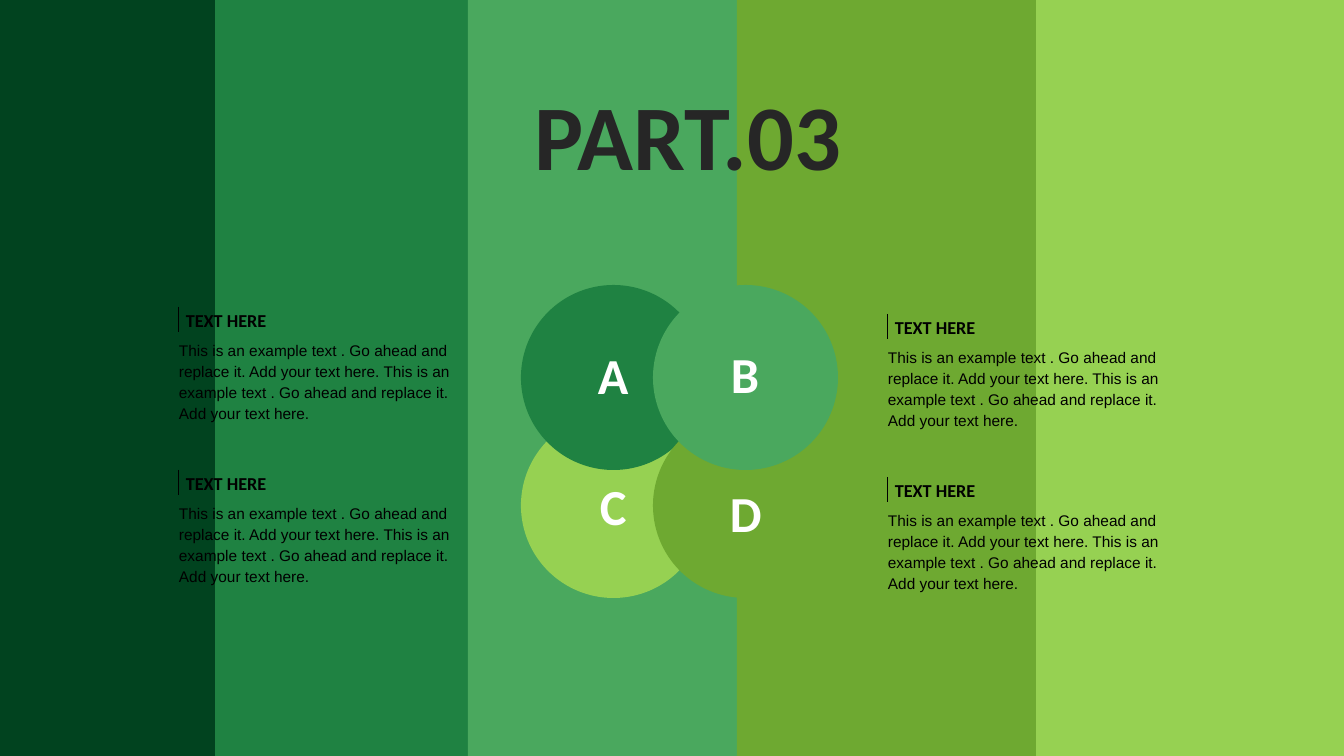
from pptx import Presentation
from pptx import util as u
from pptx.dml.color import RGBColor
from pptx.enum import shapes, text
from pptx.oxml.ns import qn

PX = 914400 / 100.8

THEME = {
    "forest": "01431F", "green": "1F8242", "mint": "4AA85E",
    "olive": "6EA931", "lime": "96D152",
    "title": "262626", "ink": "000000", "white": "FFFFFF",
    "heading_font": "Calibri", "body_font": "Arial",
    "title_size": 66, "letter_size": 36, "heading_size": 13, "body_size": 11,
}


def px(*lengths):
    return [u.Emu(round(length * PX)) for length in lengths]


def write_text(shape, words, size, color, font="heading_font", bold=True,
               wrap=True, align=text.PP_ALIGN.LEFT, spacing=None):
    frame = shape.text_frame
    frame.word_wrap = wrap
    frame.auto_size = text.MSO_AUTO_SIZE.NONE
    frame.vertical_anchor = text.MSO_ANCHOR.TOP
    paragraph = frame.paragraphs[0]
    paragraph.alignment = align
    paragraph.space_before = u.Pt(0)
    if spacing:
        paragraph.line_spacing = spacing
    run = paragraph.add_run()
    run.text = words
    run.font.name = THEME[font]
    run.font.size = u.Pt(THEME[size])
    run.font.bold = bold
    run.font.color.rgb = RGBColor.from_string(THEME[color])


presentation = Presentation()
presentation.slide_width, presentation.slide_height = px(1344, 756)
slide = presentation.slides.add_slide(presentation.slide_layouts[5])

# Background stripes
stripe_edges = [0, 215, 468, 737, 1036, 1344]
stripe_colors = ["forest", "green", "mint", "olive", "lime"]
for left, right, color in zip(stripe_edges, stripe_edges[1:], stripe_colors):
    stripe = slide.shapes.add_shape(shapes.MSO_SHAPE.RECTANGLE,
                                    *px(left, 0, right - left, 756))
    stripe.shadow.inherit = False
    stripe.fill.solid()
    stripe.fill.fore_color.rgb = RGBColor.from_string(THEME[color])
    stripe.line.fill.background()

# Title, raised above the stripes
title = slide.shapes.title
title.left, title.top, title.width, title.height = px(457, 18, 462, 179)
write_text(title, "PART.03", "title_size", "title",
           align=text.PP_ALIGN.CENTER, spacing=1.5)
stripe.element.addnext(title.element)

# Overlapping circles with letters, from back to front
circles = [
    ("C", 521, 413, "lime", 590, 470, 47),
    ("A", 521, 285, "green", 588, 339, 51),
    ("D", 653, 413, "olive", 720, 477, 52),
    ("B", 653, 285, "mint", 721, 338, 48),
]
for letter, left, top, color, letter_left, letter_top, letter_width in circles:
    circle = slide.shapes.add_shape(shapes.MSO_SHAPE.OVAL,
                                    *px(left, top, 185, 185))
    circle.shadow.inherit = False
    circle.fill.solid()
    circle.fill.fore_color.rgb = RGBColor.from_string(THEME[color])
    circle.line.fill.background()
    label = slide.shapes.add_textbox(
        *px(letter_left, letter_top, letter_width, 72))
    write_text(label, letter, "letter_size", "white", wrap=False)

# Notes on both sides, two in each column
NOTE = ("This is an example text . Go ahead and replace it. Add your text here. "
        "This is an example text . Go ahead and replace it. Add your text here.")
for left, column_top in [(169, 334), (878, 341)]:
    for row in range(2):
        top = column_top + 163 * row
        note = slide.shapes.add_group_shape()
        body = note.shapes.add_textbox(*px(left, top, 311, 95))
        write_text(body, NOTE, "body_size", "ink", font="body_font",
                   bold=False, spacing=u.Pt(15))
        heading = note.shapes.add_textbox(*px(left + 7, top - 30, 105, 33))
        write_text(heading, "TEXT HERE", "heading_size", "ink", wrap=False)
        bar = note.shapes.add_connector(
            shapes.MSO_CONNECTOR.STRAIGHT,
            *px(left + 10, top - 27, left + 10, top - 2))
        bar.line.color.rgb = RGBColor.from_string(THEME["ink"])
        bar.line.width = u.Pt(0.75)
        properties = bar.element.spPr
        properties.append(properties.makeelement(qn("a:effectLst"), {}))

presentation.save("out.pptx")
